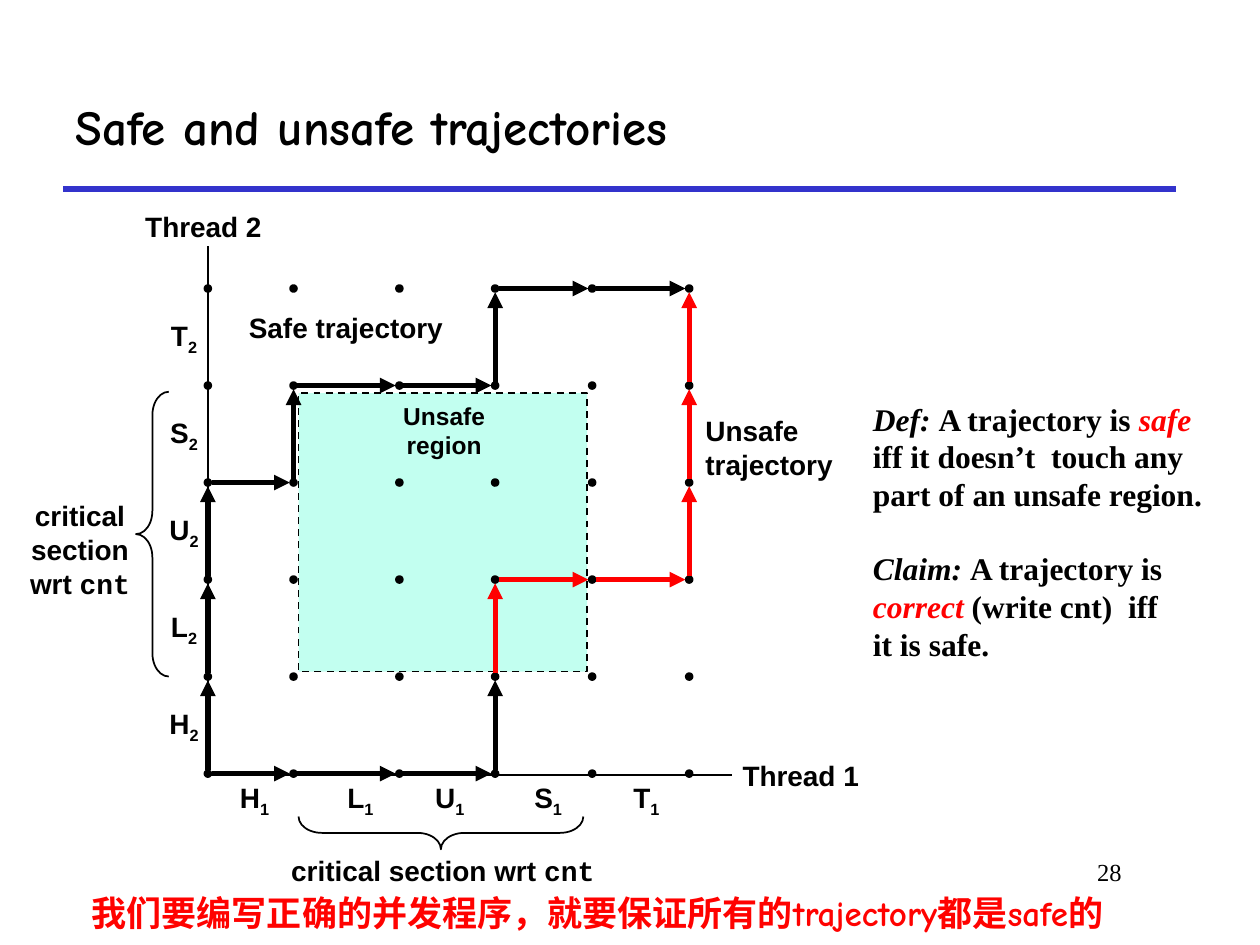
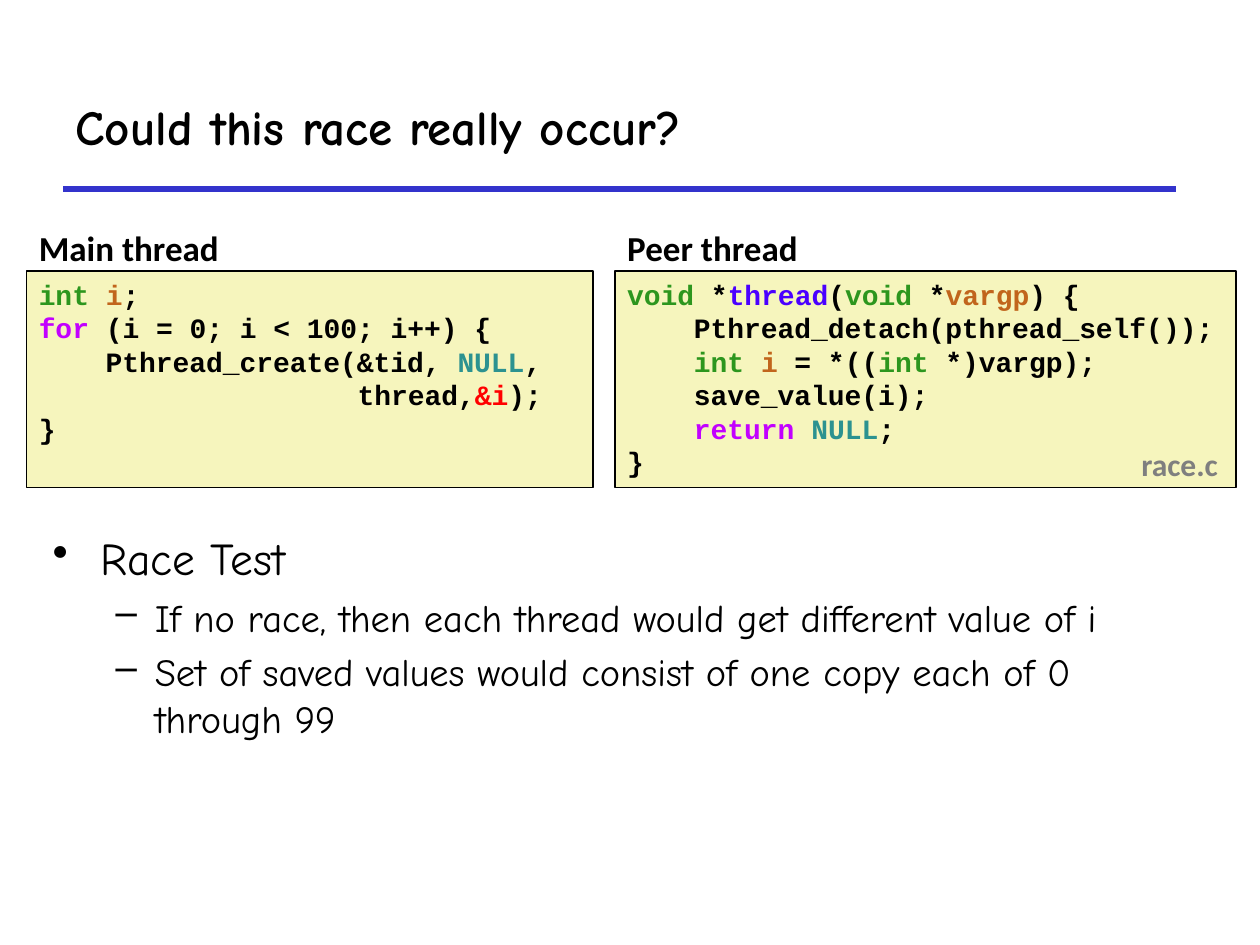
from dataclasses import dataclass
from typing import NamedTuple, Optional

import pptx
import pptx.dml.color
import pptx.enum.dml
import pptx.enum.shapes
import pptx.enum.text
import pptx.oxml.ns
import pptx.util
from lxml import etree

Inches = pptx.util.Inches
Pt = pptx.util.Pt
RGBColor = pptx.dml.color.RGBColor
ALIGN = pptx.enum.text.PP_ALIGN
ANCHOR = pptx.enum.text.MSO_ANCHOR
SHAPE = pptx.enum.shapes.MSO_SHAPE

# Shared colours and fonts
BLACK = RGBColor(0x00, 0x00, 0x00)
RED = RGBColor(0xFF, 0x00, 0x00)
NOTE_RED = RGBColor(0xFF, 0x02, 0x00)
RULE_BLUE = RGBColor(0x33, 0x33, 0xCC)
REGION_MINT = RGBColor(0xC2, 0xFF, 0xF0)
CODE_YELLOW = RGBColor(0xF6, 0xF5, 0xBD)
TYPE_GREEN = RGBColor(0x2D, 0x96, 0x1E)
VARIABLE_BROWN = RGBColor(0xC1, 0x65, 0x1C)
KEYWORD_PURPLE = RGBColor(0xC2, 0x00, 0xFF)
CONSTANT_TEAL = RGBColor(0x2C, 0x92, 0x90)
FUNCTION_BLUE = RGBColor(0x4A, 0x00, 0xFF)
FILE_GRAY = RGBColor(0x7F, 0x7F, 0x7F)
COMIC, CODE_FONT = "Comic Neue", "Courier New"

# Grid of execution states: columns for thread 1, rows upwards for thread 2
COLUMNS = (1.65, 2.33, 3.17, 3.93, 4.7, 5.47)
ROWS = [6.14 - 0.77 * row for row in range(6)]
STEP_NAMES = "HLUST"
STEP_CENTERS = (2.02, 2.86, 3.57, 4.35, 5.13)
DOT_SIZE = 0.04
ARROW_GAP = 0.03
SAFE_PATH = [(0, 0), (0, 1), (0, 2), (0, 3), (1, 3), (1, 4),
             (2, 4), (3, 4), (3, 5), (4, 5), (5, 5)]
UNSAFE_PATH_START = [(0, 0), (1, 0), (2, 0), (3, 0), (3, 1)]
UNSAFE_PATH_END = [(3, 1), (3, 2), (4, 2), (5, 2), (5, 3), (5, 4), (5, 5)]


class Box(NamedTuple):
    left: float
    top: float
    width: float
    height: float

    def lengths(self) -> list:
        return [Inches(value) for value in self]


class Span(NamedTuple):
    text: str
    color: Optional[RGBColor] = None
    italic: bool = False
    font: Optional[str] = None
    subscript: bool = False


@dataclass
class Line:
    spans: list
    indent: float = 0
    hanging: float = 0
    bullet: str = ""
    space_before: float = 0
    size: Optional[float] = None


@dataclass
class Style:
    font: str
    size: float
    bold: bool = True
    color: RGBColor = BLACK
    align: ALIGN = ALIGN.LEFT
    anchor: ANCHOR = ANCHOR.TOP
    wrap: bool = False


LABEL = Style("Arial", 16, align=ALIGN.CENTER, anchor=ANCHOR.MIDDLE)
TITLE = Style(COMIC, 28, anchor=ANCHOR.MIDDLE, wrap=True)
CODE = Style(CODE_FONT, 16, wrap=True)
HEADING = Style("Calibri", 20, wrap=True)


def plain(*texts: str) -> list:
    return [Line([Span(text)]) for text in texts]


def write(shape, lines: list, style: Style) -> None:
    frame = shape.text_frame
    frame.word_wrap = style.wrap
    frame.auto_size = pptx.enum.text.MSO_AUTO_SIZE.NONE
    frame.vertical_anchor = style.anchor
    for index, line in enumerate(lines):
        paragraph = frame.add_paragraph() if index else frame.paragraphs[0]
        paragraph.alignment = style.align
        paragraph.space_before = Pt(line.space_before)
        paragraph.space_after = Pt(0)
        properties = paragraph._p.get_or_add_pPr()
        properties.set("marL", str(Inches(line.indent)))
        properties.set("indent", str(Inches(-line.hanging)))
        if line.bullet:
            bullet = etree.SubElement(properties, pptx.oxml.ns.qn("a:buChar"))
            bullet.set("char", line.bullet)
        for span in line.spans:
            run = paragraph.add_run()
            run.text = span.text
            run.font.name = span.font or style.font
            run.font.size = Pt(line.size or style.size)
            run.font.bold = style.bold
            run.font.italic = span.italic
            run.font.color.rgb = span.color or style.color
            if span.subscript:
                run._r.get_or_add_rPr().set("baseline", "-25000")


def add_text(slide, box: Box, lines: list, style: Style):
    shape = slide.shapes.add_textbox(*box.lengths())
    write(shape, lines, style)
    return shape


def add_shape(slide, kind: SHAPE, box: Box, fill: Optional[RGBColor] = None,
              line_width: float = 0):
    shape = slide.shapes.add_shape(kind, *box.lengths())
    shape.shadow.inherit = False
    if fill is None:
        shape.fill.background()
    else:
        shape.fill.solid()
        shape.fill.fore_color.rgb = fill
    if line_width:
        shape.line.color.rgb = BLACK
        shape.line.width = Pt(line_width)
    else:
        shape.line.fill.background()
    return shape


def add_line(slide, start: tuple, end: tuple, color: RGBColor, width: float,
             arrow: bool = False) -> None:
    connector = slide.shapes.add_connector(
        pptx.enum.shapes.MSO_CONNECTOR.STRAIGHT,
        *[Inches(value) for value in (*start, *end)])
    connector.line.color.rgb = color
    connector.line.width = Pt(width)
    if arrow:
        tail = etree.SubElement(connector.line._get_or_add_ln(),
                                pptx.oxml.ns.qn("a:tailEnd"))
        tail.set("type", "triangle")
    etree.SubElement(connector._element.spPr, pptx.oxml.ns.qn("a:effectLst"))


def add_path(slide, states: list, color: RGBColor) -> None:
    for (column, row), (next_column, next_row) in zip(states, states[1:]):
        gap_x = ARROW_GAP * (next_column - column)
        gap_y = -ARROW_GAP * (next_row - row)
        add_line(slide, (COLUMNS[column] + gap_x, ROWS[row] + gap_y),
                 (COLUMNS[next_column] - gap_x, ROWS[next_row] - gap_y),
                 color, 3, arrow=True)


def add_titled_slide(presentation, title: str):
    slide = presentation.slides.add_slide(presentation.slide_layouts[5])
    shape = slide.shapes.title
    shape.left, shape.top, shape.width, shape.height = Box(0.5, 0.5, 8.83, 1).lengths()
    write(shape, plain(title), TITLE)
    add_line(slide, (0.5, 1.5), (9.33, 1.5), RULE_BLUE, 3)
    return slide


def build_trajectories(presentation) -> None:
    slide = add_titled_slide(presentation, "Safe and unsafe trajectories")

    # Unsafe region and axes
    region = add_shape(slide, SHAPE.RECTANGLE, Box(2.37, 3.12, 2.29, 2.21), REGION_MINT, 1)
    region.line.dash_style = pptx.enum.dml.MSO_LINE.DASH
    add_line(slide, (1.65, 6.15), (5.81, 6.15), BLACK, 1)
    add_line(slide, (1.65, 6.15), (1.65, 1.95), BLACK, 1)

    # Step labels
    for index, name in enumerate(STEP_NAMES):
        middle = (ROWS[index] + ROWS[index + 1]) / 2
        for thread, center_x, center_y in (("1", STEP_CENTERS[index], 6.34),
                                           ("2", 1.46, middle)):
            add_text(slide, Box(center_x - 0.22, center_y - 0.18, 0.44, 0.37),
                     [Line([Span(name), Span(thread, subscript=True)])], LABEL)

    # State dots
    for x in COLUMNS:
        for y in ROWS:
            add_shape(slide, SHAPE.OVAL, Box(x - DOT_SIZE / 2, y - DOT_SIZE / 2,
                                             DOT_SIZE, DOT_SIZE), BLACK, 2)

    # Region caption and trajectories
    caption = add_shape(slide, SHAPE.RECTANGLE, Box(2.78, 3.25, 1.49, 0.33), REGION_MINT)
    write(caption, plain("Unsafe region"),
          Style("Arial", 14, align=ALIGN.CENTER, anchor=ANCHOR.MIDDLE, wrap=True))
    add_path(slide, SAFE_PATH, BLACK)
    add_path(slide, UNSAFE_PATH_START, BLACK)
    add_path(slide, UNSAFE_PATH_END, RED)

    # Diagram labels
    for text, box in (("Thread 1", Box(5.79, 5.97, 1.13, 0.37)),
                      ("Thread 2", Box(1.05, 1.61, 1.13, 0.37)),
                      ("Safe trajectory", Box(1.87, 2.41, 1.75, 0.37))):
        add_text(slide, box, plain(text), LABEL)
    add_text(slide, Box(5.5, 3.23, 1.21, 0.64), plain("Unsafe", "trajectory"),
             Style("Arial", 16, anchor=ANCHOR.MIDDLE))

    # Critical section braces
    for box, rotation in ((Box(1.08, 3.11, 0.26, 2.26), 0),
                          (Box(3.37, 5.48, 0.26, 2.26), 270)):
        brace = add_shape(slide, SHAPE.LEFT_BRACE, box, line_width=1)
        brace.adjustments[0] = 0.715
        brace.rotation = rotation
    section = [Line([Span("critical section wrt "), Span("cnt", font=CODE_FONT)])]
    add_text(slide, Box(2.2, 6.72, 2.63, 0.37), section, LABEL)
    side_label = add_text(slide, Box(0.12, 3.91, 1.03, 0.9), section, LABEL)
    side_label.text_frame.word_wrap = True

    # Definition, claim and notes
    add_text(slide, Box(6.83, 2.5, 3, 3.43), [
        Line([Span("Def: ", italic=True), Span("A trajectory is "),
              Span("safe", RED, italic=True)]),
        *plain("iff it doesn’t  touch any", "part of an unsafe region."),
        Line([Span("Claim: ", italic=True), Span("A trajectory is")], space_before=20.7),
        Line([Span("correct", RED, italic=True), Span(" (write cnt)  iff")]),
        *plain("it is safe."),
    ], Style("Times New Roman", 18, anchor=ANCHOR.MIDDLE, wrap=True))
    add_text(slide, Box(7.58, 6.75, 1.42, 0.5), plain("28"),
             Style("Times New Roman", 14, bold=False, align=ALIGN.RIGHT, wrap=True))
    add_text(slide, Box(0.63, 7.03, 8.56, 0.43),
             plain("我们要编写正确的并发程序，就要保证所有的trajectory都是safe的"),
             Style(COMIC, 20, color=NOTE_RED))


def build_race(presentation) -> None:
    slide = add_titled_slide(presentation, "Could this race really occur?")
    tab = 0.53  # four code characters

    # Code panels
    main_code = [
        Line([Span("int ", TYPE_GREEN), Span("i", VARIABLE_BROWN), Span(";")]),
        Line([Span("for", KEYWORD_PURPLE), Span(" (i = 0; i < 100; i++) {")]),
        Line([Span("Pthread_create(&tid, "), Span("NULL", CONSTANT_TEAL), Span(",")], tab),
        Line([Span("thread,"), Span("&i", RED), Span(");")], 2.53),
        *plain("}"),
    ]
    peer_code = [
        Line([Span("void", TYPE_GREEN), Span(" *"), Span("thread", FUNCTION_BLUE), Span("("),
              Span("void", TYPE_GREEN), Span(" *"), Span("vargp", VARIABLE_BROWN),
              Span(") {")]),
        Line([Span("Pthread_detach(pthread_self());")], tab),
        Line([Span("int ", TYPE_GREEN), Span("i", VARIABLE_BROWN), Span(" = *(("),
              Span("int", TYPE_GREEN), Span(" *)vargp);")], tab),
        Line([Span("save_value(i);")], tab),
        Line([Span("return ", KEYWORD_PURPLE), Span("NULL", CONSTANT_TEAL), Span(";")], tab),
        *plain("}"),
    ]
    for heading, left, width, code in (("Main thread", 0.21, 4.5, main_code),
                                       ("Peer thread", 4.88, 4.93, peer_code)):
        panel = add_shape(slide, SHAPE.RECTANGLE, Box(left, 2.15, width, 1.72), CODE_YELLOW, 1)
        write(panel, code, CODE)
        add_text(slide, Box(left, 1.75, 1.93, 0.43), plain(heading), HEADING)
    add_text(slide, Box(8.96, 3.48, 0.82, 0.4), plain("race.c"),
             Style("Calibri", 18, color=FILE_GRAY))

    # Race test bullets
    details = ("If no race, then each thread would get different value of i",
               "Set of saved values would consist of one copy each of 0 through 99")
    add_text(slide, Box(0.32, 4.16, 9.35, 1.44), [
        Line([Span("Race Test")], 0.38, 0.38, "•", 6, 26),
        *[Line([Span(detail)], 0.81, 0.31, "–", 5) for detail in details],
    ], Style(COMIC, 22, bold=False, wrap=True))


def main() -> None:
    presentation = pptx.Presentation()
    presentation.slide_width, presentation.slide_height = Inches(10), Inches(7.5)
    build_trajectories(presentation)
    build_race(presentation)
    presentation.save("out.pptx")


if __name__ == "__main__":
    main()
